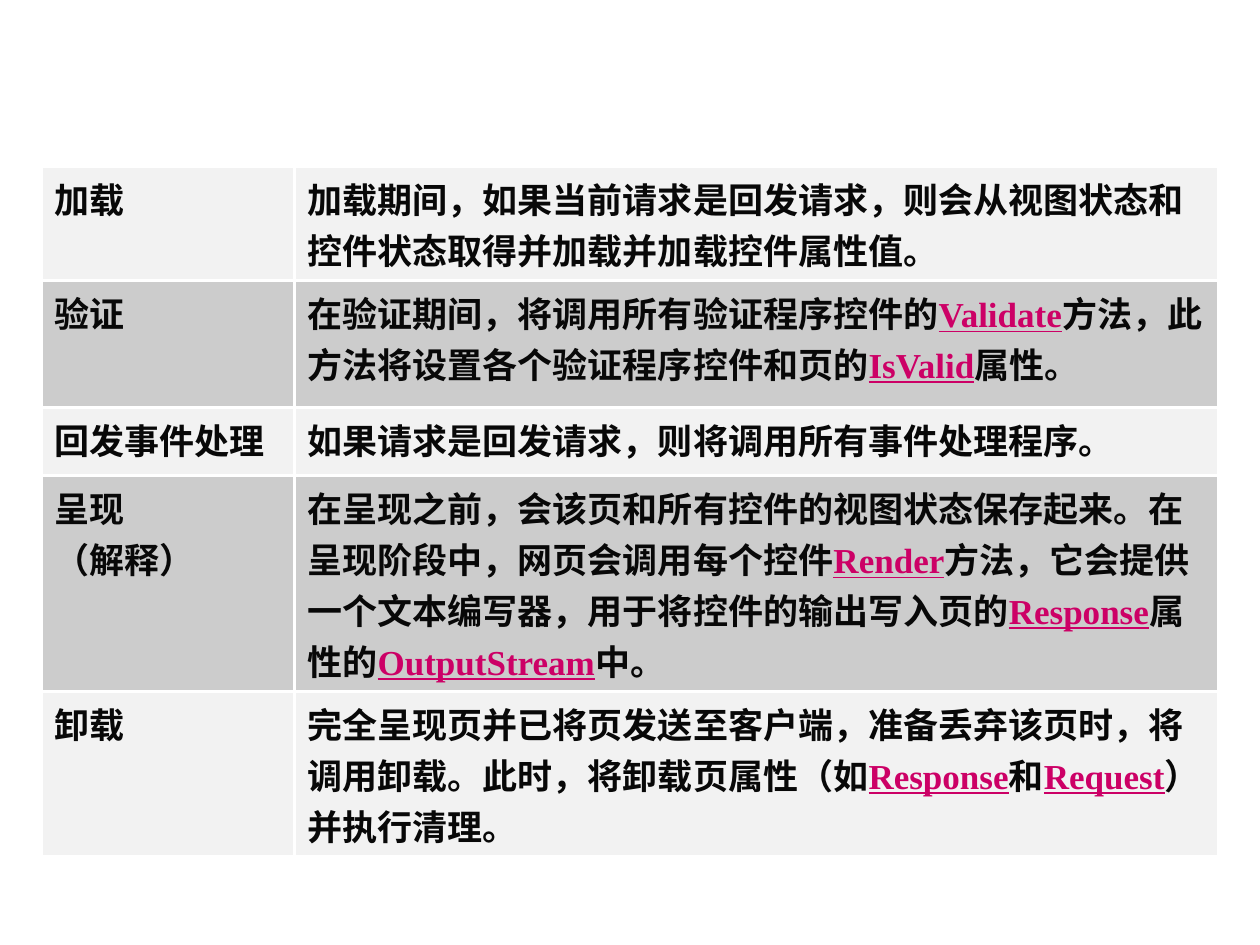
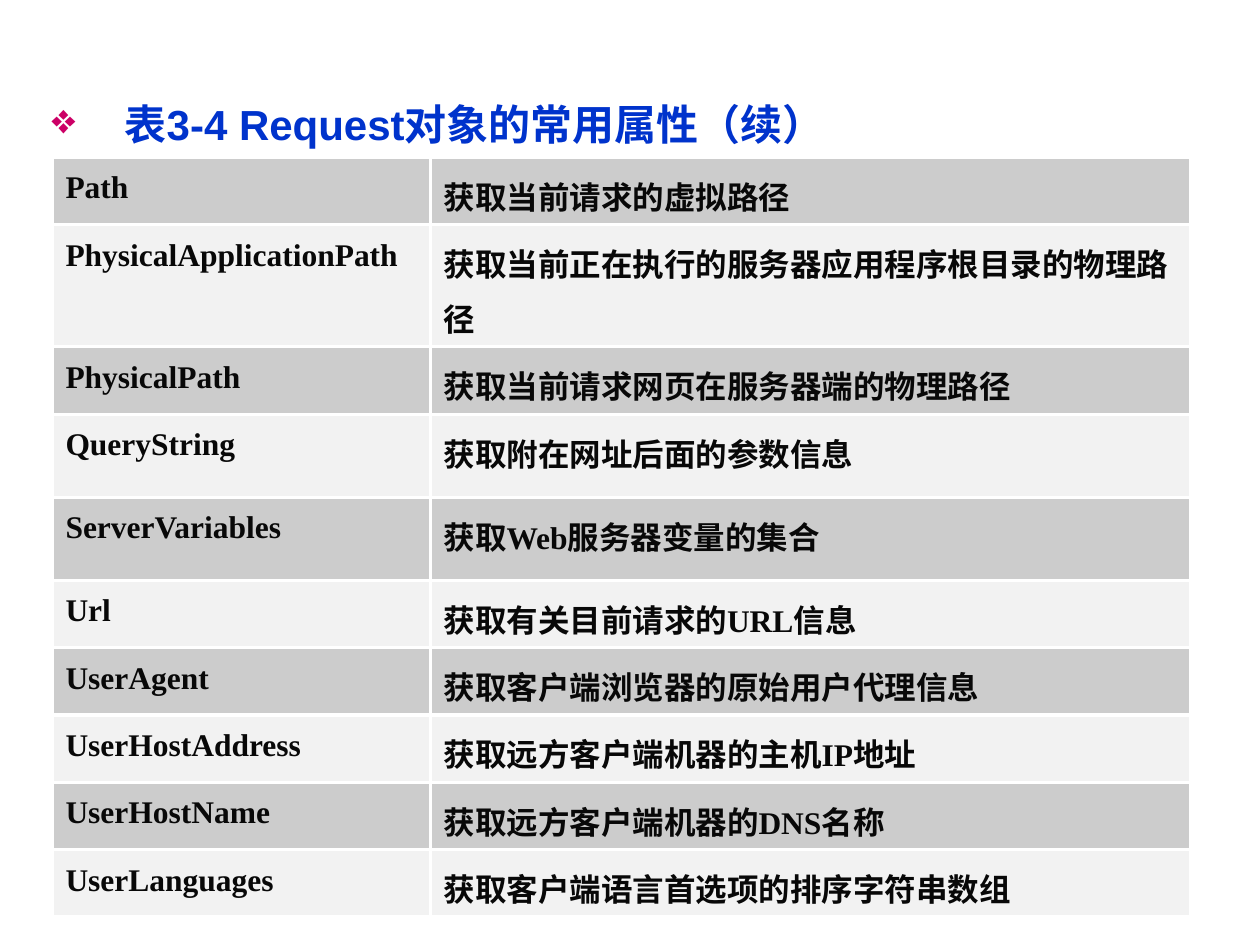
from dataclasses import dataclass

from lxml import etree
from pptx import Presentation
from pptx.dml.color import RGBColor
from pptx.enum import text as enum_text
from pptx.oxml import ns
from pptx.util import Inches, Pt

# Shared look
INK = RGBColor(0x08, 0x08, 0x08)
LINK = RGBColor(0xCC, 0x00, 0x66)
TITLE_BLUE = RGBColor(0x00, 0x33, 0xCC)
WHITE = RGBColor(0xFF, 0xFF, 0xFF)
LIGHT_BAND = RGBColor(0xF2, 0xF2, 0xF2)
DARK_BAND = RGBColor(0xCC, 0xCC, 0xCC)
TITLE_FONT, TABLE_FONT = "Arial", "Times New Roman"
BORDER_WIDTH = Pt(2)
TITLE_ONLY, BLANK = 5, 6


@dataclass
class BandedTable:
    """Rows hold a height in inches, a name and a description."""
    left: float
    top: float
    columns: tuple[float, float]
    bands: tuple[RGBColor, RGBColor]
    size: int
    line_spacing: float
    rows: list[tuple[float, str, str]]


# Text between bars is a link
LIFE_CYCLE = BandedTable(
    0.33, 1.32, (2.01, 7.33), (LIGHT_BAND, DARK_BAND), 20, 1.0,
    [
        (0.82, "加载", "加载期间，如果当前请求是回发请求，则会从视图状态和控件状态取得并加载并加载控件属性值。"),
        (1.01, "验证", "在验证期间，将调用所有验证程序控件的|Validate|方法，"
                     "此方法将设置各个验证程序控件和页的|IsValid|属性。"),
        (0.54, "回发事件处理", "如果请求是回发请求，则将调用所有事件处理程序。"),
        (1.48, "呈现\n（解释）", "在呈现之前，会该页和所有控件的视图状态保存起来。"
                              "在呈现阶段中，网页会调用每个控件|Render|方法，"
                              "它会提供一个文本编写器，用于将控件的输出写入页的|Response|"
                              "属性的|OutputStream|中。"),
        (1.01, "卸载", "完全呈现页并已将页发送至客户端，准备丢弃该页时，将调用卸载。"
                     "此时，将卸载页属性（如|Response|和|Request|）并执行清理。"),
    ],
)

REQUEST_PROPERTIES = BandedTable(
    0.42, 1.25, (3, 6.03), (DARK_BAND, LIGHT_BAND), 18, 1.2,
    [
        (0.52, "Path", "获取当前请求的虚拟路径"),
        (0.66, "PhysicalApplicationPath", "获取当前正在执行的服务器应用程序根目录的物理路径"),
        (0.38, "PhysicalPath", "获取当前请求网页在服务器端的物理路径"),
        (0.66, "QueryString", "获取附在网址后面的参数信息"),
        (0.66, "ServerVariables", "获取Web服务器变量的集合"),
        (0.38, "Url", "获取有关目前请求的URL信息"),
        (0.38, "UserAgent", "获取客户端浏览器的原始用户代理信息"),
        (0.38, "UserHostAddress", "获取远方客户端机器的主机IP地址"),
        (0.38, "UserHostName", "获取远方客户端机器的DNS名称"),
        (0.38, "UserLanguages", "获取客户端语言首选项的排序字符串数组"),
    ],
)


def write_text(frame, content: str, *, size: int, font: str, color: RGBColor,
               line_spacing: float) -> None:
    """Write bold paragraphs, one per line, with links between bars."""
    for number, line in enumerate(content.split("\n")):
        paragraph = frame.add_paragraph() if number else frame.paragraphs[0]
        paragraph.alignment = enum_text.PP_ALIGN.LEFT
        paragraph.line_spacing = line_spacing
        for index, piece in enumerate(line.split("|")):
            is_link = index % 2 == 1
            run = paragraph.add_run()
            run.text = piece
            run.font.size = Pt(size)
            run.font.name = font
            run.font.bold = True
            run.font.underline = is_link
            run.font.color.rgb = LINK if is_link else color


def add_element(parent, tag: str, **attributes: str):
    return etree.SubElement(parent, ns.qn(tag), attributes)


def set_borders(cell) -> None:
    properties = cell._tc.get_or_add_tcPr()
    for side in "LRTB":
        line = add_element(properties, f"a:ln{side}", w=str(BORDER_WIDTH))
        add_element(add_element(line, "a:solidFill"), "a:srgbClr", val=str(WHITE))


def set_bullet(paragraph, character: str, indent: int) -> None:
    properties = paragraph._p.get_or_add_pPr()
    properties.set("marL", str(indent))
    properties.set("indent", str(-indent))
    add_element(add_element(properties, "a:buClr"), "a:srgbClr", val=str(LINK))
    add_element(properties, "a:buChar", char=character)


def set_title(slide, content: str) -> None:
    title = slide.shapes.title
    title.left, title.top = Inches(0.41), Inches(0.66)
    title.width, title.height = Inches(9.3), Inches(0.88)
    frame = title.text_frame
    frame.margin_left = frame.margin_right = frame.margin_top = frame.margin_bottom = 0
    frame.vertical_anchor = enum_text.MSO_ANCHOR.TOP
    frame.auto_size = enum_text.MSO_AUTO_SIZE.NONE
    write_text(frame, content, size=24, font=TITLE_FONT, color=TITLE_BLUE, line_spacing=1.3)
    frame.paragraphs[0].space_before = Pt(5)
    set_bullet(frame.paragraphs[0], "❖", Inches(0.58))


def draw_table(slide, model: BandedTable) -> None:
    height = sum(row[0] for row in model.rows)
    table = slide.shapes.add_table(
        len(model.rows), len(model.columns), Inches(model.left), Inches(model.top),
        Inches(sum(model.columns)), Inches(height)).table
    table.first_row = table.horz_banding = False
    for column, width in zip(table.columns, model.columns):
        column.width = Inches(width)
    for row_index, (row_height, *contents) in enumerate(model.rows):
        table.rows[row_index].height = Inches(row_height)
        for column_index, content in enumerate(contents):
            cell = table.cell(row_index, column_index)
            set_borders(cell)
            cell.fill.solid()
            cell.fill.fore_color.rgb = model.bands[row_index % 2]
            write_text(cell.text_frame, content, size=model.size, font=TABLE_FONT,
                       color=INK, line_spacing=model.line_spacing)


def main() -> None:
    presentation = Presentation()
    presentation.slide_width, presentation.slide_height = Inches(10), Inches(7.5)
    layouts = presentation.slide_layouts

    # Page life cycle stages
    draw_table(presentation.slides.add_slide(layouts[BLANK]), LIFE_CYCLE)

    # Request object properties
    slide = presentation.slides.add_slide(layouts[TITLE_ONLY])
    set_title(slide, "表3-4 Request对象的常用属性（续）")
    draw_table(slide, REQUEST_PROPERTIES)

    presentation.save("out.pptx")


if __name__ == "__main__":
    main()
